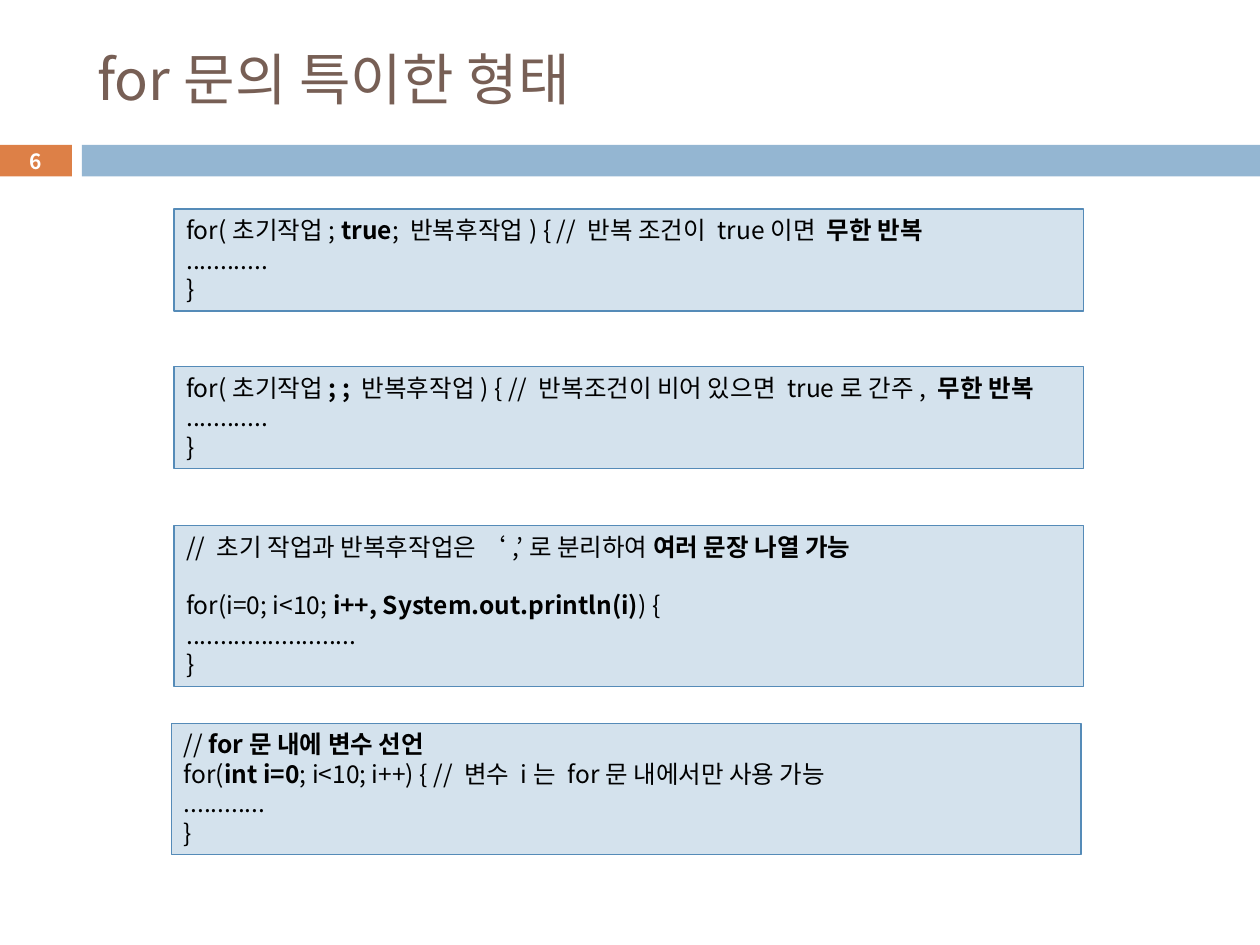
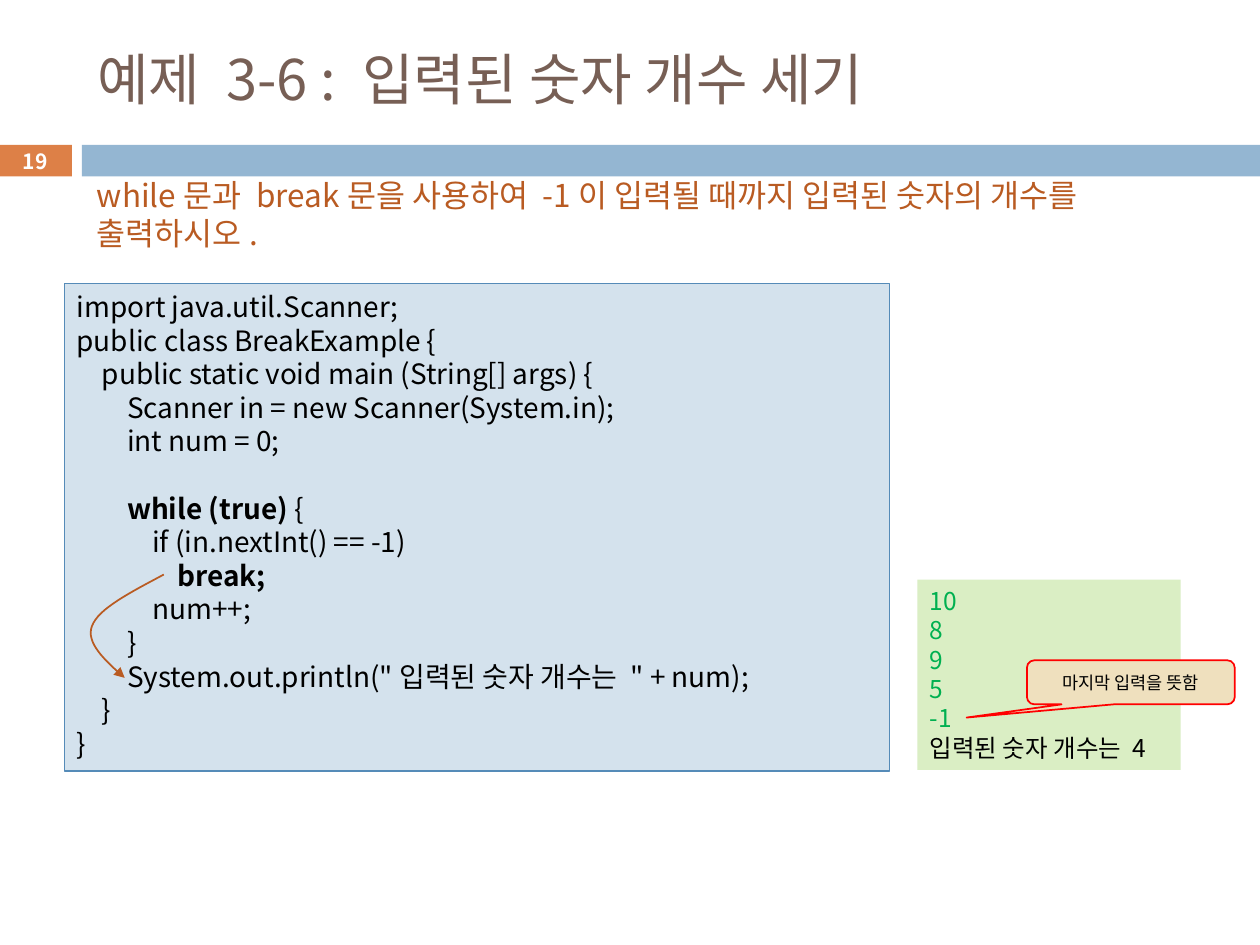
from dataclasses import dataclass

from lxml import etree
from pptx import Presentation
from pptx.dml.color import RGBColor
from pptx.enum.shapes import MSO_SHAPE
from pptx.enum.text import MSO_ANCHOR, MSO_AUTO_SIZE, PP_ALIGN
from pptx.oxml.ns import qn
from pptx.util import Inches, Pt

RECT = MSO_SHAPE.RECTANGLE
CALLOUT = MSO_SHAPE.ROUNDED_RECTANGULAR_CALLOUT
TOP, MIDDLE = MSO_ANCHOR.TOP, MSO_ANCHOR.MIDDLE
LEFT, CENTER = PP_ALIGN.LEFT, PP_ALIGN.CENTER
NO_AUTOFIT = MSO_AUTO_SIZE.NONE
TITLE_ONLY = 5


@dataclass(frozen=True)
class Theme:
    font: str = "Noto Sans CJK KR"
    line_ratio: float = 1.2
    title: str = "775F55"
    accent: str = "DD8047"
    band: str = "94B6D2"
    code_fill: str = "D4E2ED"
    code_line: str = "558BB8"
    console_fill: str = "DAEEC4"
    typed: str = "00B050"
    prompt: str = "B95B22"
    note_fill: str = "EFE0BE"
    note_line: str = "FF0000"
    text: str = "000000"
    white: str = "FFFFFF"
    title_pt: float = 32
    prompt_pt: float = 18
    program_pt: float = 16
    snippet_pt: float = 14
    number_pt: float = 12
    note_pt: float = 10
    thin_pt: float = 0.75
    line_pt: float = 1


T = Theme()


@dataclass(frozen=True)
class Box:
    left: float
    top: float
    width: float
    height: float

    def emu(self) -> tuple:
        return tuple(Inches(v) for v in (self.left, self.top, self.width, self.height))


@dataclass(frozen=True)
class Run:
    text: str
    bold: bool = False


@dataclass(frozen=True)
class Line:
    """One paragraph: its runs, indent level and blank lines above."""
    runs: tuple
    level: int = 0
    gap: int = 0
    color: str = T.text


@dataclass(frozen=True)
class Snippet:
    box: Box
    lines: tuple


def plain(text: str, level: int = 0, color: str = T.text) -> Line:
    return Line((Run(text),), level, color=color)


def bold(text: str) -> Run:
    return Run(text, True)


# Shared drawing
INDENT = 0.2


def rgb(color: str) -> RGBColor:
    return RGBColor.from_string(color)


def write(shape, lines: tuple, size: float, align=LEFT, anchor=TOP, wrap: bool = True) -> None:
    tf = shape.text_frame
    tf.auto_size = NO_AUTOFIT
    tf.word_wrap = wrap
    tf.vertical_anchor = anchor
    tf.margin_left = tf.margin_right = Inches(0.1)
    tf.margin_top = tf.margin_bottom = Inches(0.05)
    pitch = Pt(size * T.line_ratio)
    for i, line in enumerate(lines):
        p = tf.add_paragraph() if i else tf.paragraphs[0]
        p.alignment = align
        p.line_spacing = pitch
        p.space_before = line.gap * pitch
        if line.level:
            p._p.get_or_add_pPr().set("marL", str(Inches(INDENT * line.level)))
        for run in line.runs:
            r = p.add_run()
            r.text = run.text
            r.font.name = T.font
            r.font.size = Pt(size)
            r.font.bold = run.bold
            r.font.color.rgb = rgb(line.color)
            ea = etree.SubElement(r._r.get_or_add_rPr(), qn("a:ea"))
            ea.set("typeface", T.font)


def add_box(s, box: Box, fill: str, line: str = "", width: float = T.thin_pt, kind=RECT):
    sp = s.shapes.add_shape(kind, *box.emu())
    sp.shadow.inherit = False
    sp.fill.solid()
    sp.fill.fore_color.rgb = rgb(fill)
    if line:
        sp.line.color.rgb = rgb(line)
        sp.line.width = Pt(width)
    else:
        sp.line.fill.background()
    return sp


def add_code(s, snippet: Snippet, size: float) -> None:
    write(add_box(s, snippet.box, T.code_fill, T.code_line), snippet.lines, size)


def add_base(prs, title: str, number: int):
    """Slide with title, blue band and numbered orange tab."""
    s = prs.slides.add_slide(prs.slide_layouts[TITLE_ONLY])
    sp = s.shapes.title
    sp.left, sp.top, sp.width, sp.height = Box(0.67, 0.25, 8.92, 0.74).emu()
    write(sp, (plain(title, color=T.title),), T.title_pt, anchor=MIDDLE)
    add_box(s, Box(0.65, 1.15, 9.35, 0.25), T.band)
    tab = add_box(s, Box(-0.01, 1.15, 0.58, 0.25), T.accent)
    write(tab, (Line((bold(str(number)),), color=T.white),), T.number_pt, CENTER, MIDDLE)
    return s


def bezier(p0: tuple, p1: tuple, p2: tuple, p3: tuple, steps: int = 16) -> list:
    """Points along a cubic curve, without its start."""
    points = []
    for i in range(1, steps + 1):
        t = i / steps
        u = 1 - t
        weights = (u ** 3, 3 * u * u * t, 3 * u * t * t, t ** 3)
        points.append(tuple(Inches(sum(w * c for w, c in zip(weights, axis)))
                            for axis in zip(p0, p1, p2, p3)))
    return points


def add_curved_arrow(s, knots: tuple) -> None:
    start = knots[0]
    points = bezier(*knots[:4]) + bezier(*knots[3:])
    builder = s.shapes.build_freeform(Inches(start[0]), Inches(start[1]), scale=1.0)
    builder.add_line_segments(points, close=False)
    sp = builder.convert_to_shape()
    sp.shadow.inherit = False
    sp.fill.background()
    sp.line.color.rgb = rgb(T.prompt)
    sp.line.width = Pt(T.line_pt)
    etree.SubElement(sp.line._get_or_add_ln(), qn("a:tailEnd")).set("type", "triangle")


# Content
DOTS = plain("............")
END = plain("}")

FOR_FORMS = (
    Snippet(Box(1.38, 1.66, 7.22, 0.81), (
        Line((Run("for(초기작업; "), bold("true"),
              Run("; 반복후작업) { // 반복 조건이 true이면  "), bold("무한 반복"))),
        DOTS, END)),
    Snippet(Box(1.38, 2.91, 7.22, 0.81), (
        Line((Run("for(초기작업"), bold("; ; "),
              Run("반복후작업) { // 반복조건이 비어 있으면 true로 간주, "), bold("무한 반복"))),
        DOTS, END)),
    Snippet(Box(1.38, 4.17, 7.22, 1.28), (
        Line((Run("// 초기 작업과 반복후작업은 ‘,’로 분리하여 "), bold("여러 문장 나열 가능"))),
        Line((Run("for(i=0; i<10; "), bold("i++, System.out.println(i)"), Run(") {")), gap=1),
        plain("........................."), END)),
    Snippet(Box(1.36, 5.74, 7.22, 1.04), (
        Line((Run("// "), bold("for문 내에 변수 선언"))),
        Line((Run("for("), bold("int i=0"),
              Run("; i<10; i++) { // 변수 i는 for문 내에서만 사용 가능"))),
        DOTS, END)),
)

BREAK_PROGRAM = Snippet(Box(0.51, 2.25, 6.55, 3.87), (
    plain("import java.util.Scanner;"),
    plain("public class BreakExample {"),
    plain("public static void main (String[] args) {", 1),
    plain("Scanner in = new Scanner(System.in);", 2),
    plain("int num = 0;", 2),
    Line((bold("while (true) "), Run("{")), 2, gap=1),
    plain("if (in.nextInt() == -1)", 3),
    Line((bold("break;"),), 4),
    plain("num++;", 3),
    plain("}", 2),
    plain("System.out.println(\"입력된 숫자 개수는 \" + num);", 2),
    plain("}", 1),
    END))

PROMPT = "while문과 break문을 사용하여 -1이 입력될 때까지 입력된 숫자의 개수를 출력하시오."
TYPED_NUMBERS = ("10", "8", "9", "5", "-1")
BREAK_JUMP = ((1.3, 4.56), (1.04, 4.7), (0.78, 4.83), (0.73, 4.97),
              (0.68, 5.1), (0.83, 5.24), (0.99, 5.38))
CALLOUT_TIP = (-0.79, 0.8, 0.17)


def for_forms_slide(prs) -> None:
    s = add_base(prs, "for문의 특이한 형태", 6)
    for snippet in FOR_FORMS:
        add_code(s, snippet, T.snippet_pt)


def break_example_slide(prs) -> None:
    s = add_base(prs, "예제 3-6 : 입력된 숫자 개수 세기", 19)
    prompt = s.shapes.add_textbox(*Box(0.67, 1.35, 8.55, 0.71).emu())
    write(prompt, (plain(PROMPT, color=T.prompt),), T.prompt_pt)
    add_code(s, BREAK_PROGRAM, T.program_pt)

    # Console output
    console = add_box(s, Box(7.28, 4.6, 2.09, 1.51), T.console_fill)
    output = tuple(plain(n, color=T.typed) for n in TYPED_NUMBERS)
    write(console, output + (plain("입력된 숫자 개수는 4"),), T.snippet_pt, wrap=False)

    # Callout on the last input
    note = add_box(s, Box(8.15, 5.24, 1.65, 0.35), T.note_fill, T.note_line, T.line_pt, CALLOUT)
    for i, value in enumerate(CALLOUT_TIP):
        note.adjustments[i] = value
    write(note, (plain("마지막 입력을 뜻함"),), T.note_pt, CENTER, MIDDLE)

    # Jump out of the loop
    add_curved_arrow(s, BREAK_JUMP)


def main() -> None:
    prs = Presentation()
    prs.slide_width, prs.slide_height = Inches(10), Inches(7.5)
    for_forms_slide(prs)
    break_example_slide(prs)
    prs.save("out.pptx")


if __name__ == "__main__":
    main()
